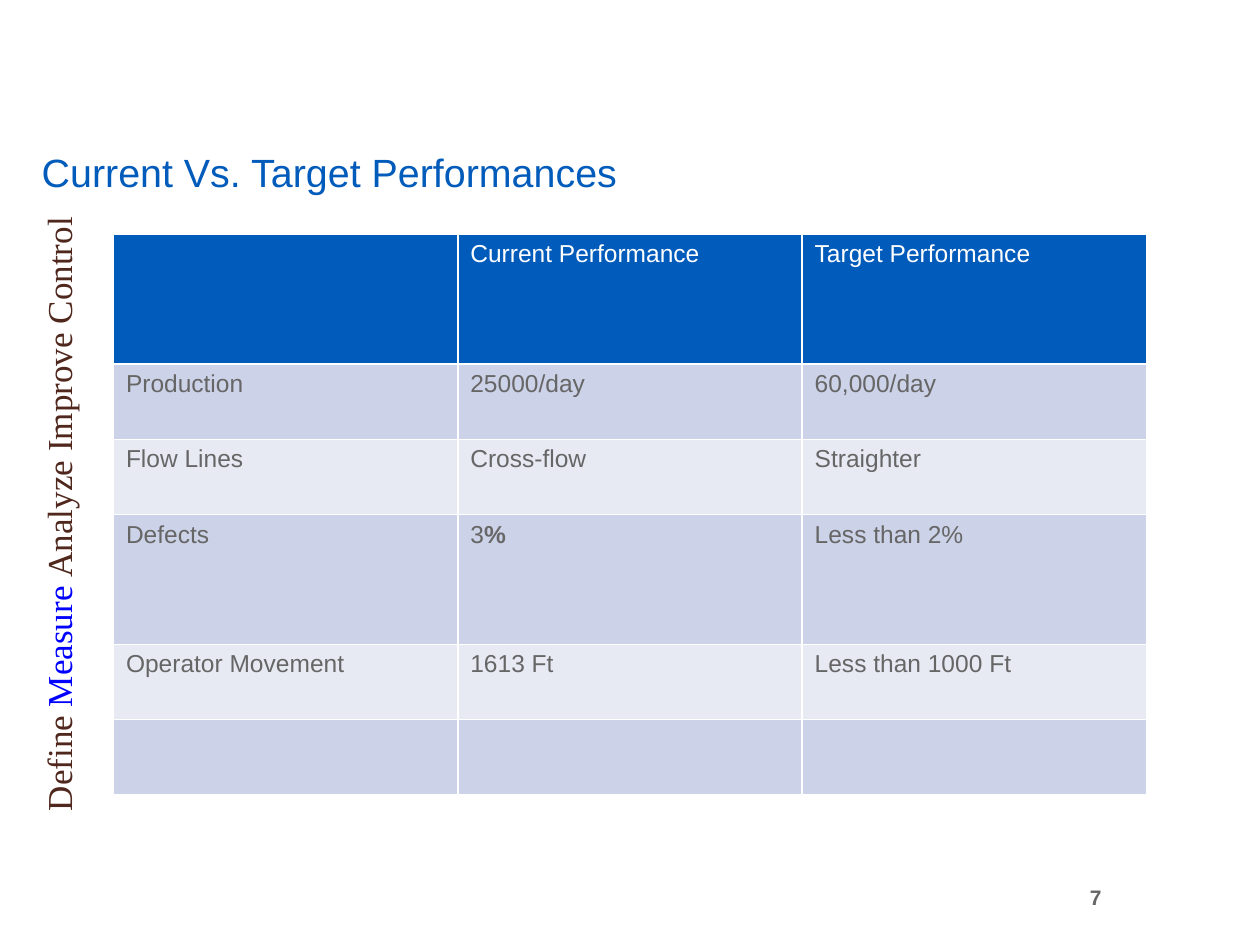
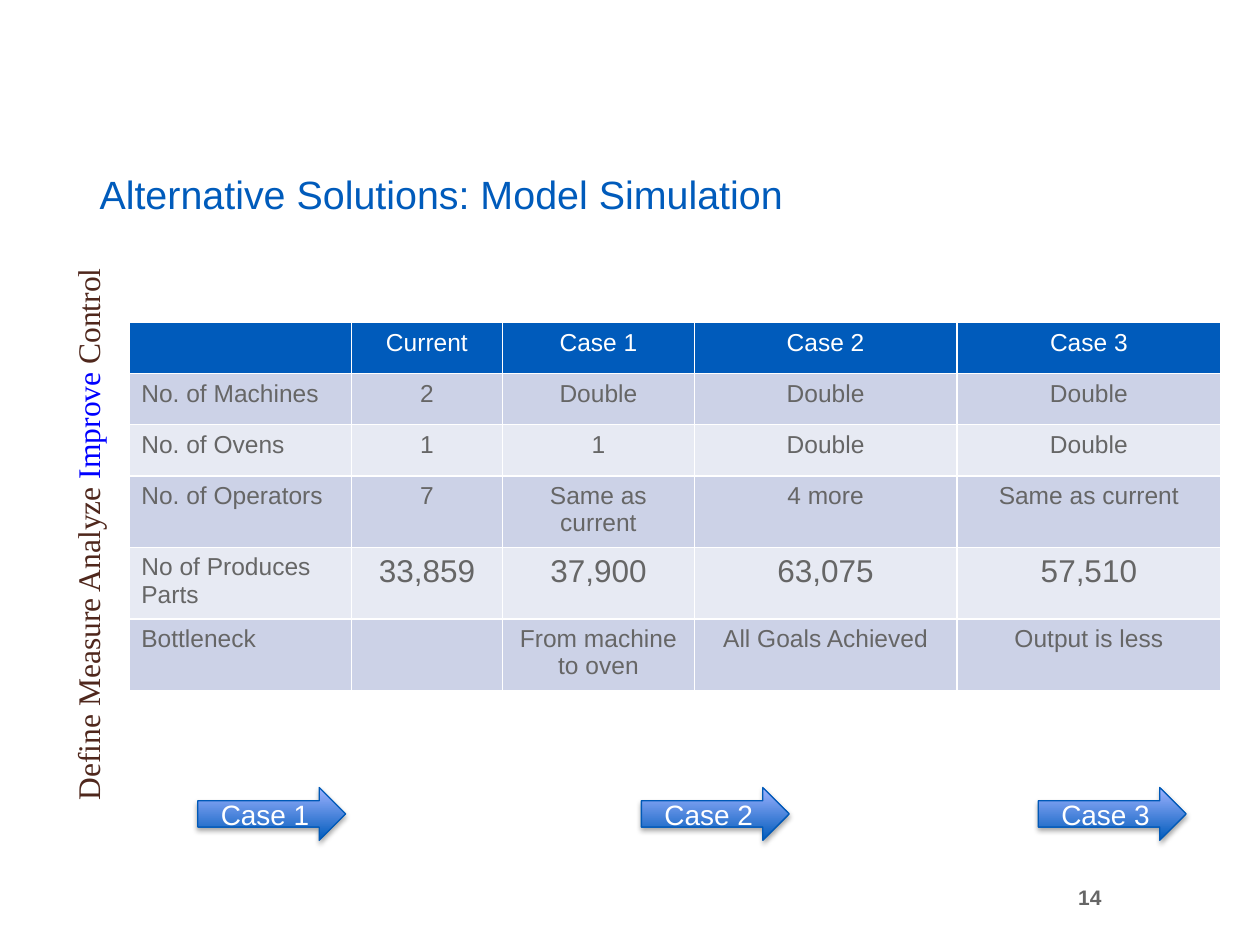
import pptx
import pptx.util
import pptx.dml.color
import pptx.enum.shapes
import pptx.enum.text
import lxml.etree

Pt = pptx.util.Pt
RGBColor = pptx.dml.color.RGBColor
ALIGN = pptx.enum.text.PP_ALIGN
ANCHOR = pptx.enum.text.MSO_ANCHOR

BLUE = RGBColor(0x00, 0x5B, 0xBB)
EDGE = RGBColor(0x00, 0x59, 0xB7)
PALE_BLUE = RGBColor(0x9E, 0xB2, 0xFF)
PHASE_NOW = RGBColor(0x00, 0x00, 0xFF)
BROWN = RGBColor(0x4F, 0x27, 0x1C)
GREY = RGBColor(0x66, 0x66, 0x66)
WHITE = RGBColor(0xFF, 0xFF, 0xFF)
BANDS = (RGBColor(0xCC, 0xD2, 0xE7), RGBColor(0xE7, 0xEA, 0xF3))

PHASES = ("Define", "Measure", "Analyze", "Improve", "Control")

# Boxes are (left, top, width, height) in points.
SLIDES = [
    {
        "title": "Current Vs. Target Performances",
        "title_box": (16.6, 47.5, 620.6, 68.4),
        "number": "7",
        "phase": "Measure",
        "phase_box": (-148.3, 275.8, 367.9, 36),
        "phase_size": 20,
        "table_at": (64.8, 133.9),
        "cols": (196.8,) * 3,
        "heights": (74.2, 43, 43, 74.2, 43, 43),
        "align": ALIGN.LEFT,
        "rows": [
            ("", "Current Performance", "Target Performance"),
            ("Production", "25000/day", "60,000/day"),
            ("Flow Lines", "Cross-flow", "Straighter"),
            ("Defects", ["3", ("%", {"bold": True})], "Less than 2%"),
            ("Operator Movement", "1613 Ft", "Less than 1000 Ft"),
            ("", "", ""),
        ],
    },
    {
        "title": "Alternative Solutions: Model Simulation",
        "title_box": (49.7, 90.7, 620.6, 37.4),
        "number": "14",
        "phase": "Improve",
        "phase_box": (-123.8, 287.3, 355, 36),
        "phase_size": 18,
        "table_at": (73.6, 184.3),
        "cols": (127.2, 86.4, 109.6, 150, 151),
        "heights": (29.2,) * 6,
        "align": ALIGN.CENTER,
        "large_row": 4,
        "rows": [
            ("", "Current", "Case 1", "Case 2", "Case 3"),
            ("No. of Machines", "2", "Double", "Double", "Double"),
            ("No. of Ovens", "1", "1", "Double", "Double"),
            ("No. of Operators", "7", "Same as current", "4 more", "Same as current"),
            ("No of Produces Parts", "33,859", "37,900", "63,075", "57,510"),
            ("Bottleneck", "", "From machine to oven", "All Goals Achieved", "Output is less"),
        ],
        "arrows": [("Case 1", 113), ("Case 2", 366.5), ("Case 3", 593.3)],
    },
]
NUMBER_BOX = (594, 491.8, 42.5, 41.8)
ARROW_TOP, ARROW_WIDTH, ARROW_HEIGHT = 450, 84.5, 30.2


def write(tf, parts, size=14, color=GREY, font="Arial", bold=False,
          align=ALIGN.LEFT, before=0, line=None):
    """Fill the first paragraph; a part is a string or (string, format overrides)."""
    p = tf.paragraphs[0]
    p.alignment = align
    p.space_before = Pt(before)
    if line:
        p.line_spacing = line
    for part in [parts] if isinstance(parts, str) else parts:
        text, changes = (part, {}) if isinstance(part, str) else part
        r = p.add_run()
        r.text = text
        r.font.name = font
        r.font.size = Pt(size)
        r.font.bold = changes.get("bold", bold)
        r.font.color.rgb = changes.get("color", color)


def add_text(slide, box, parts, anchor=ANCHOR.TOP, **fmt):
    sp = slide.shapes.add_textbox(*map(Pt, box))
    sp.text_frame.word_wrap = True
    sp.text_frame.vertical_anchor = anchor
    write(sp.text_frame, parts, **fmt)
    return sp


def set_title(slide, text, box):
    sp = slide.shapes.title
    sp.left, sp.top, sp.width, sp.height = map(Pt, box)
    tf = sp.text_frame
    tf.auto_size = pptx.enum.text.MSO_AUTO_SIZE.NONE
    tf.vertical_anchor = ANCHOR.BOTTOM
    write(tf, text, size=22.5, color=BLUE, line=0.9)


def add_phases(slide, box, current, size):
    """Write the project phases up the left side, with the current one highlighted."""
    parts = []
    for phase in PHASES:
        text = phase if phase == PHASES[-1] else phase + " "
        parts.append((text, {"color": PHASE_NOW if phase == current else BROWN}))
    sp = add_text(slide, box, parts, size=size, font="Times New Roman",
                  align=ALIGN.CENTER, before=size * 0.2)
    sp.rotation = 270


def add_table(slide, data):
    rows, cols, heights = data["rows"], data["cols"], data["heights"]
    box = (*data["table_at"], sum(cols), sum(heights))
    table = slide.shapes.add_table(len(rows), len(cols), *map(Pt, box)).table
    for column, width in zip(table.columns, cols):
        column.width = Pt(width)
    for i, (row, height) in enumerate(zip(rows, heights)):
        table.rows[i].height = Pt(height)
        for j, parts in enumerate(row):
            cell = table.cell(i, j)
            cell.fill.solid()
            cell.fill.fore_color.rgb = BANDS[(i - 1) % 2] if i else BLUE
            if parts:
                write(cell.text_frame, parts,
                      size=18 if j and i == data.get("large_row") else 14,
                      color=GREY if i else WHITE,
                      align=data["align"] if j else ALIGN.LEFT)


def add_shadow(sp):
    sp.shadow.inherit = False
    effects = sp._element.spPr.find(pptx.oxml.ns.qn("a:effectLst"))
    shadow = lxml.etree.SubElement(
        effects, pptx.oxml.ns.qn("a:outerShdw"), blurRad=str(Pt(3.1)),
        dist=str(Pt(1.8)), dir="5400000", rotWithShape="0")
    color = lxml.etree.SubElement(shadow, pptx.oxml.ns.qn("a:srgbClr"), val="000000")
    lxml.etree.SubElement(color, pptx.oxml.ns.qn("a:alpha"), val="35000")


def add_arrow(slide, text, left):
    sp = slide.shapes.add_shape(
        pptx.enum.shapes.MSO_SHAPE.RIGHT_ARROW,
        Pt(left), Pt(ARROW_TOP), Pt(ARROW_WIDTH), Pt(ARROW_HEIGHT))
    sp.fill.gradient()
    sp.fill.gradient_angle = 90
    for stop, color in zip(sp.fill.gradient_stops, (BLUE, PALE_BLUE)):
        stop.color.rgb = color
    sp.line.color.rgb = EDGE
    sp.line.width = Pt(0.75)
    add_shadow(sp)
    sp.text_frame.vertical_anchor = ANCHOR.MIDDLE
    write(sp.text_frame, text, size=16, color=WHITE, align=ALIGN.CENTER)


def main():
    prs = pptx.Presentation()
    prs.slide_width, prs.slide_height = Pt(720), Pt(540)
    for data in SLIDES:
        slide = prs.slides.add_slide(prs.slide_layouts.get_by_name("Title Only"))
        set_title(slide, data["title"], data["title_box"])
        add_text(slide, NUMBER_BOX, data["number"], anchor=ANCHOR.MIDDLE,
                 size=12, bold=True, align=ALIGN.RIGHT)
        add_phases(slide, data["phase_box"], data["phase"], data["phase_size"])
        add_table(slide, data)
        for text, left in data.get("arrows", []):
            add_arrow(slide, text, left)
    prs.save("out.pptx")


if __name__ == "__main__":
    main()
